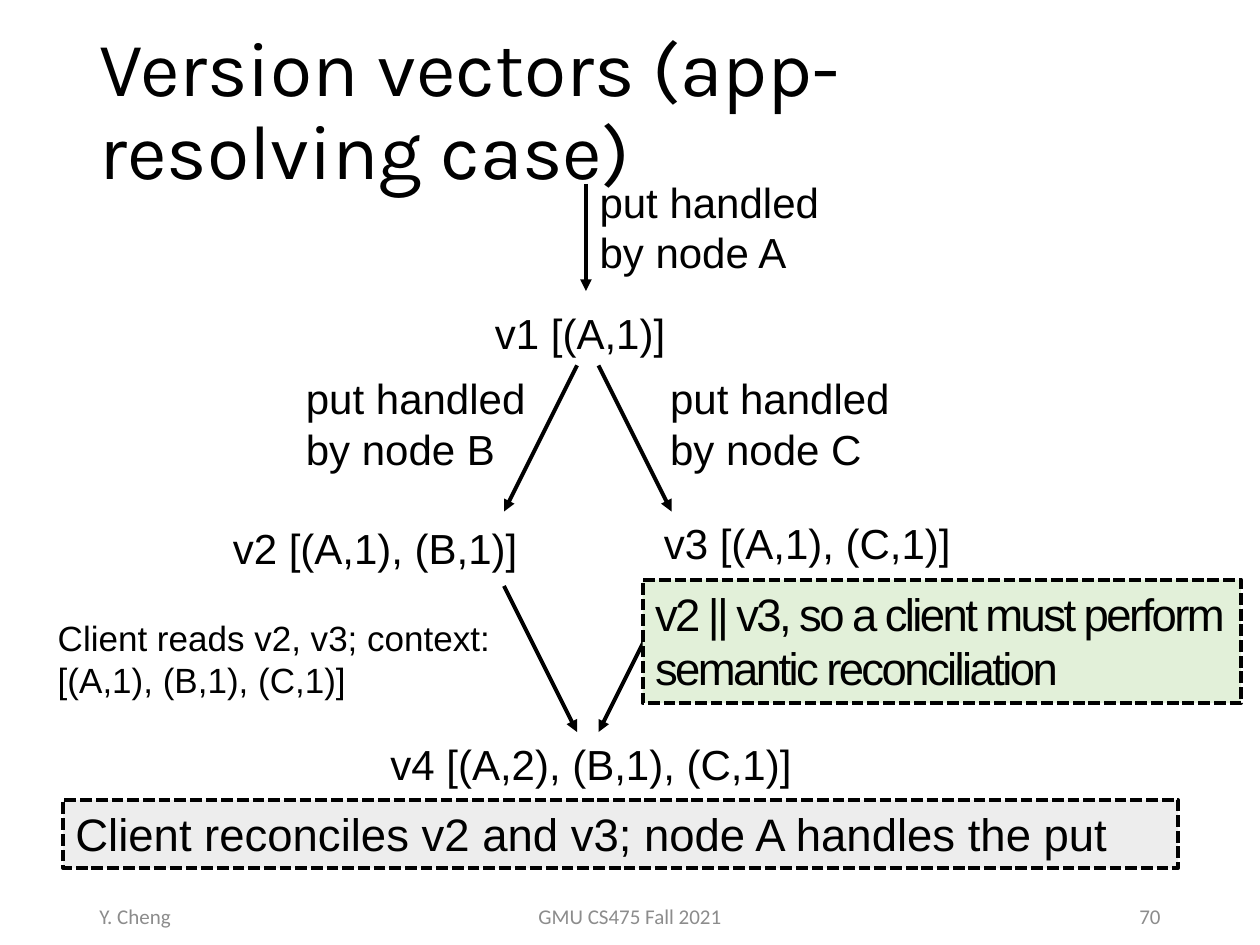
import pptx
import pptx.dml.color
import pptx.enum.dml
import pptx.enum.shapes
import pptx.enum.text
import pptx.oxml.ns
import pptx.oxml.xmlchemy
import pptx.util

Inches = pptx.util.Inches
ALIGN = pptx.enum.text.PP_ALIGN
ANCHOR = pptx.enum.text.MSO_ANCHOR
AUTO_SIZE = pptx.enum.text.MSO_AUTO_SIZE

# Content: text, (left, top, width, height) in inches
TITLE = ("Version vectors (app-resolving case)", (0.69, 0.17, 8.62, 1.45))
FOOTERS = [
    ("Y. Cheng", 0.69, 2.25, ALIGN.LEFT),
    ("GMU CS475 Fall 2021", 3.31, 3.38, ALIGN.CENTER),
    ("70", 7.06, 2.25, ALIGN.RIGHT),
]
VERSIONS = [
    ("v1 [(A,1)]", (3.83, 2.39, 1.75, 0.5)),
    ("v2 [(A,1), (B,1)]", (1.75, 4.1, 2.5, 0.5)),
    ("v3 [(A,1), (C,1)]", (5.17, 4.06, 2.5, 0.5)),
    ("v4 [(A,2), (B,1), (C,1)]", (3, 5.81, 3.72, 0.5)),
]
PUTS = [
    ("A", (4.66, 1.35, 2.09, 0.91)),
    ("B", (2.33, 2.91, 2, 0.91)),
    ("C", (5.22, 2.91, 2.08, 0.91)),
]
CONTEXT = ("Client reads v2, v3; context: [(A,1), (B,1), (C,1)]",
           (0.36, 4.84, 3.78, 0.77))
# Callouts add a fill colour and letter spacing in points
CALLOUTS = [
    ("v2 || v3, so a client must perform semantic reconciliation",
     (5.1, 4.6, 4.75, 0.98), "E2F0D9", -1.5),
    ("Client reconciles v2 and v3; node A handles the put",
     (0.5, 6.35, 8.85, 0.54), "EDEDED", 0),
]

# Arrow geometry: a diamond, inner ends near its axis and outer ends at its sides
INNER = (4.58, 4.75)
OUTER = (4, 5.33)
FORK_TOP, FORK_BOTTOM = 2.9, 4.06
JOIN_TOP, JOIN_BOTTOM = 4.65, 5.81
ENTRY = ((4.65, 1.46), (4.65, 2.31))


def color(value):
    return pptx.dml.color.RGBColor.from_string(value)


def write(shape, text, size, font="Arial", ink="000000", align=ALIGN.LEFT,
          anchor=ANCHOR.TOP, grow=True, line_spacing=None, tracking=0):
    frame = shape.text_frame
    frame.word_wrap = True
    frame.vertical_anchor = anchor
    frame.auto_size = AUTO_SIZE.SHAPE_TO_FIT_TEXT if grow else AUTO_SIZE.NONE
    para = frame.paragraphs[0]
    para.alignment = align
    if line_spacing:
        para.line_spacing = line_spacing
    span = para.add_run()
    span.text = text
    span.font.size = pptx.util.Pt(size)
    span.font.name = font
    span.font.color.rgb = color(ink)
    if tracking:
        span.font._element.set("spc", str(int(tracking * 100)))


def add_text(page, text, place, size, **style):
    box = page.shapes.add_textbox(*map(Inches, place))
    write(box, text, size, **style)


def add_arrow(page, start, end):
    arrow = page.shapes.add_connector(
        pptx.enum.shapes.MSO_CONNECTOR.STRAIGHT,
        *map(Inches, (*start, *end)))
    arrow.line.color.rgb = color("000000")
    arrow.line.width = pptx.util.Pt(2.25)
    head = pptx.oxml.xmlchemy.OxmlElement("a:tailEnd")
    head.set("type", "triangle")
    properties = arrow._element.find(pptx.oxml.ns.qn("p:spPr"))
    properties.find(pptx.oxml.ns.qn("a:ln")).append(head)
    properties.append(pptx.oxml.xmlchemy.OxmlElement("a:effectLst"))


def add_callout(page, text, place, fill, tracking):
    box = page.shapes.add_shape(
        pptx.enum.shapes.MSO_SHAPE.RECTANGLE, *map(Inches, place))
    box.shadow.inherit = False
    box.fill.solid()
    box.fill.fore_color.rgb = color(fill)
    box.line.color.rgb = color("000000")
    box.line.width = pptx.util.Pt(2.25)
    box.line.dash_style = pptx.enum.dml.MSO_LINE.SQUARE_DOT
    write(box, text, 26, tracking=tracking)


def main():
    deck = pptx.Presentation()
    deck.slide_width, deck.slide_height = Inches(10), Inches(7.5)
    page = deck.slides.add_slide(deck.slide_layouts[6])

    # Title and footer
    add_text(page, *TITLE, 44, font="Karla", anchor=ANCHOR.MIDDLE,
             grow=False, line_spacing=0.9)
    for text, left, width, align in FOOTERS:
        add_text(page, text, (left, 7.07, width, 0.4), 12, font="Calibri",
                 ink="8C8C8C", align=align, anchor=ANCHOR.MIDDLE, grow=False)

    # Version graph
    for text, place in VERSIONS:
        add_text(page, text, place, 24)
    for node, place in PUTS:
        add_text(page, f"put handled by node {node}", place, 24)
    add_text(page, *CONTEXT, 20)
    add_arrow(page, *ENTRY)
    for inner, outer in zip(INNER, OUTER):
        add_arrow(page, (inner, FORK_TOP), (outer, FORK_BOTTOM))
        add_arrow(page, (outer, JOIN_TOP), (inner, JOIN_BOTTOM))

    # Callouts in front of the arrows
    for callout in CALLOUTS:
        add_callout(page, *callout)

    deck.save("out.pptx")


if __name__ == "__main__":
    main()
